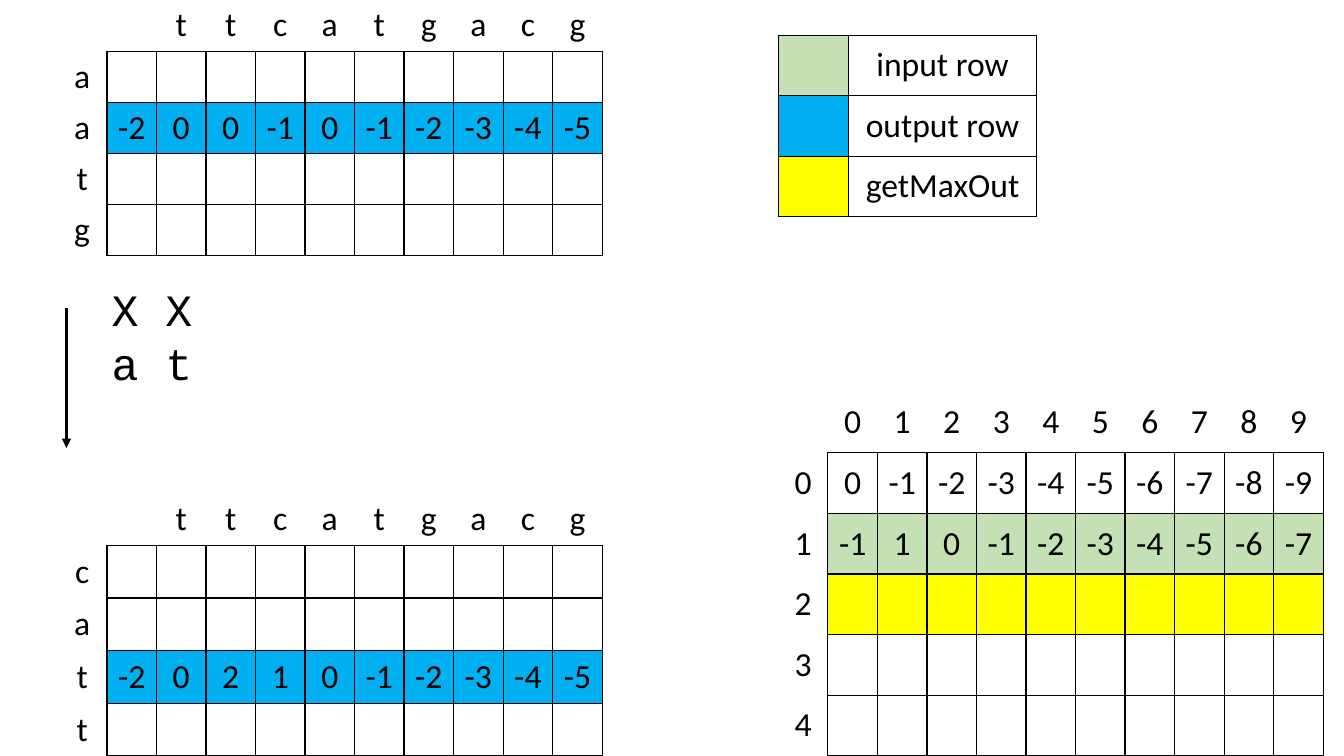
from dataclasses import dataclass, field

from lxml.etree import SubElement
from pptx import Presentation
from pptx.dml.color import RGBColor as RGB
from pptx.enum.shapes import MSO_CONNECTOR as CONN
from pptx.enum.text import MSO_ANCHOR as ANCHOR, MSO_AUTO_SIZE as AUTO, PP_ALIGN as ALIGN
from pptx.oxml.ns import qn
from pptx.util import Pt

COLOURS = {"ink": "000000", "input": "C5E0B4", "output": "00B0F0", "max": "FFFF00"}
CELL_W = 35.4
COLUMNS = 11
LEFT_X, RIGHT_X = 41, 556


@dataclass
class Grid:
    left: float
    top: float
    widths: list[float]
    row_height: float
    rows: list[list[str]]
    fills: dict[tuple[int, int], str] = field(default_factory=dict)
    headed: bool = True  # first row and column are unboxed labels


def rgb(name: str) -> RGB:
    return RGB.from_string(COLOURS[name])


def write(tf, text: str, *, size: float = 24, font: str = "Calibri",
          colour: str = "ink", align=ALIGN.CENTER) -> None:
    for i, line in enumerate(text.split("\n")):
        p = tf.paragraphs[0] if i == 0 else tf.add_paragraph()
        p.alignment = align
        r = p.add_run()
        r.text = line
        r.font.size, r.font.name = Pt(size), font
        r.font.color.rgb = rgb(colour)


def set_borders(cell, sides: str) -> None:
    tc_pr = cell._tc.get_or_add_tcPr()
    for side in "LRTB":
        ln = SubElement(tc_pr, qn(f"a:ln{side}"), w=str(Pt(1)))
        if side in sides:
            fill = SubElement(ln, qn("a:solidFill"))
            SubElement(fill, qn("a:srgbClr"), val=COLOURS["ink"])
        else:
            SubElement(ln, qn("a:noFill"))


def visible_sides(grid: Grid, row: int, col: int) -> str:
    if not grid.headed or (row and col):
        return "LRTB"
    if row:
        return "R"
    return "B" if col else ""


def band(row: int, colour: str) -> dict[tuple[int, int], str]:
    return {(row, col): colour for col in range(1, COLUMNS)}


def draw_grid(s, grid: Grid) -> None:
    n_rows, n_cols = len(grid.rows), len(grid.widths)
    table = s.shapes.add_table(n_rows, n_cols, Pt(grid.left), Pt(grid.top),
                               Pt(sum(grid.widths)), Pt(grid.row_height * n_rows)).table
    table.first_row = table.horz_banding = False
    for column, width in zip(table.columns, grid.widths):
        column.width = Pt(width)
    for i, texts in enumerate(grid.rows):
        table.rows[i].height = Pt(grid.row_height)
        for j in range(n_cols):
            cell = table.cell(i, j)
            cell.vertical_anchor = ANCHOR.MIDDLE
            set_borders(cell, visible_sides(grid, i, j))
            if (i, j) in grid.fills:
                cell.fill.solid()
                cell.fill.fore_color.rgb = rgb(grid.fills[i, j])
            else:
                cell.fill.background()
            if j < len(texts) and texts[j]:
                write(cell.text_frame, texts[j])


def draw_arrow(s, x: float, top: float, bottom: float) -> None:
    arrow = s.shapes.add_connector(CONN.STRAIGHT, Pt(x), Pt(top), Pt(x), Pt(bottom))
    arrow.line.width = Pt(2.25)
    arrow.line.color.rgb = rgb("ink")
    SubElement(arrow.line._get_or_add_ln(), qn("a:tailEnd"), type="triangle")
    SubElement(arrow._element.spPr, qn("a:effectLst"))


def main() -> None:
    prs = Presentation()
    prs.slide_width, prs.slide_height = Pt(960), Pt(540)
    s = prs.slides.add_slide(prs.slide_layouts[6])

    widths = [CELL_W] * COLUMNS
    sequence = ["", "", *"ttcatgacg"]

    # Alignment grids before and after the step, and the score matrix
    draw_grid(s, Grid(LEFT_X, 0, widths, 36, [
        sequence, ["a"], "a -2 0 0 -1 0 -1 -2 -3 -4 -5".split(), ["t"], ["g"],
    ], band(2, "output")))
    draw_grid(s, Grid(RIGHT_X, 280, widths, 43.32, [
        ["", *"0123456789"],
        "0 0 -1 -2 -3 -4 -5 -6 -7 -8 -9".split(),
        "1 -1 1 0 -1 -2 -3 -4 -5 -6 -7".split(),
        ["2"], ["3"], ["4"],
    ], band(2, "input") | band(3, "max")))
    draw_grid(s, Grid(LEFT_X, 352, widths, 37.6, [
        sequence, ["c"], ["a"], "t -2 0 2 1 0 -1 -2 -3 -4 -5".split(), ["t"],
    ], band(3, "output")))

    # Characters being compared
    tf = s.shapes.add_textbox(Pt(72.7), Pt(198), Pt(396), Pt(85)).text_frame
    tf.word_wrap = True
    tf.auto_size = AUTO.SHAPE_TO_FIT_TEXT
    write(tf, "X X\na t", size=32, font="Courier New", align=ALIGN.LEFT)

    # Legend
    draw_grid(s, Grid(RIGHT_X, 25.2, [50, 134.6], 43.2, [
        ["", "input row"], ["", "output row"], ["", "getMaxOut"],
    ], {(0, 0): "input", (1, 0): "output", (2, 0): "max"}, headed=False))

    # Step from the upper grid to the lower one
    draw_arrow(s, 47.5, 220, 320)

    prs.save("out.pptx")


if __name__ == "__main__":
    main()
